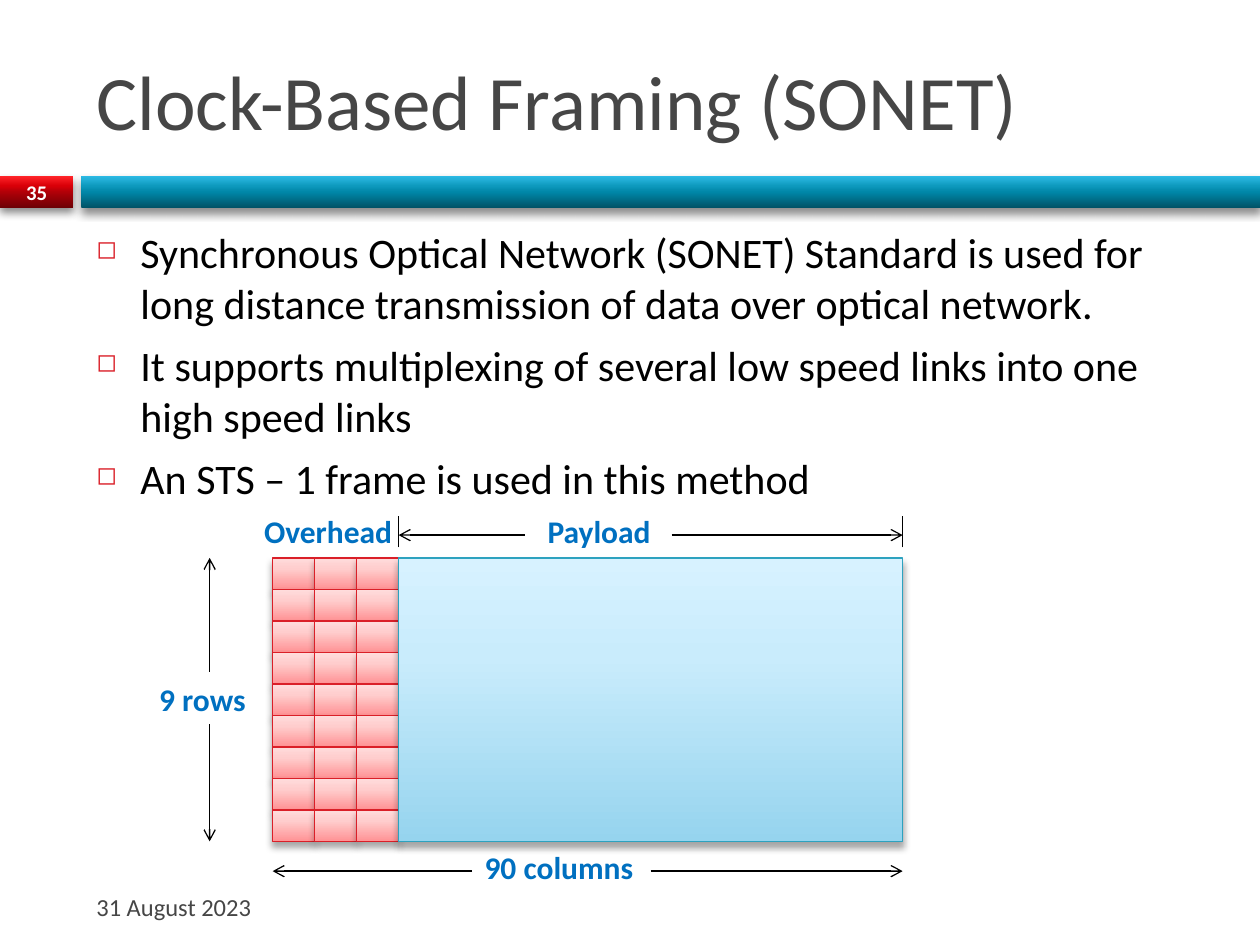
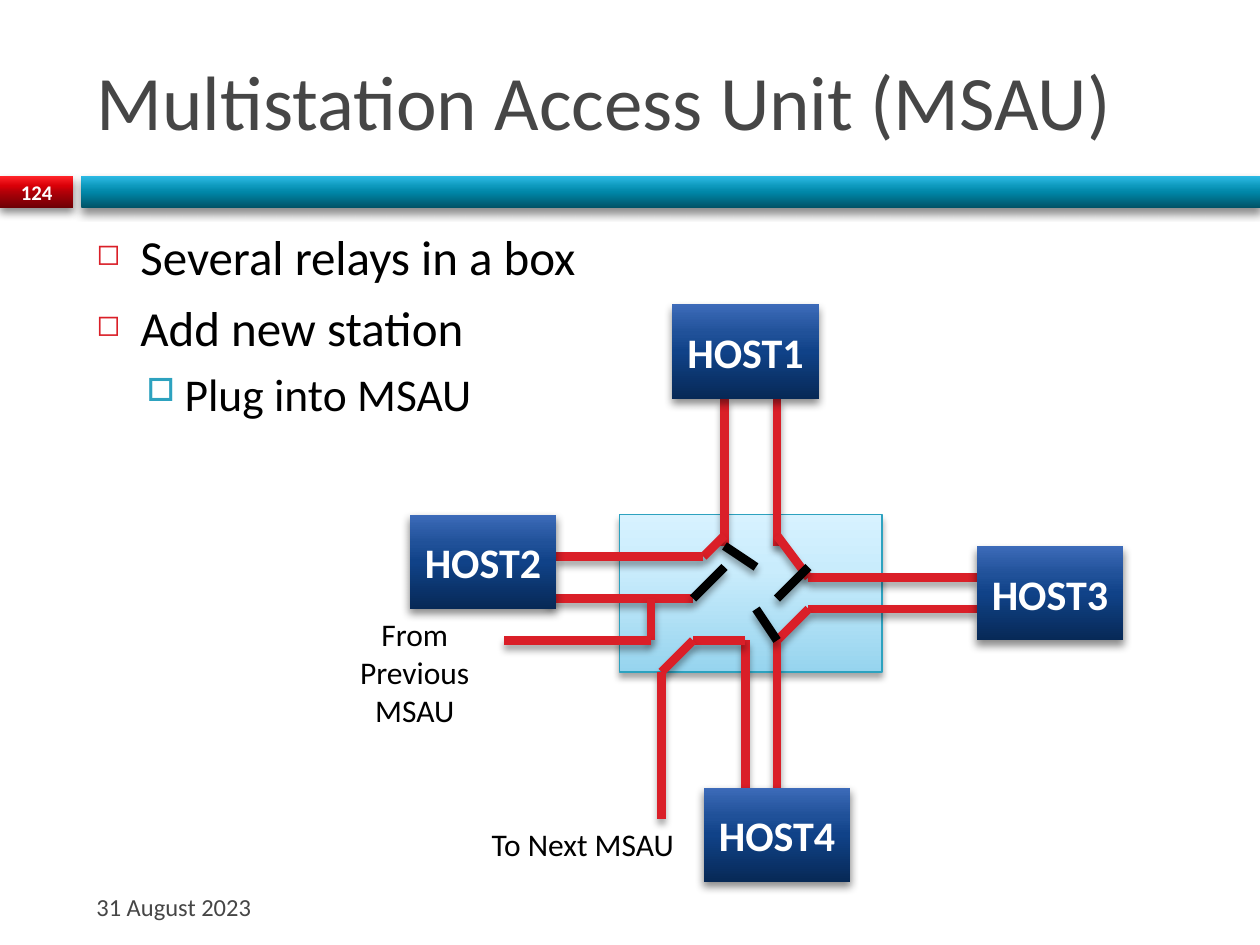
from lxml import etree
from pptx import Presentation
from pptx.dml.color import RGBColor
from pptx.enum.shapes import MSO_CONNECTOR, MSO_SHAPE
from pptx.enum.text import MSO_ANCHOR, PP_ALIGN
from pptx.oxml.ns import qn
from pptx.util import Pt

RECT = MSO_SHAPE.RECTANGLE
STRAIGHT = MSO_CONNECTOR.STRAIGHT
TOP, MIDDLE = MSO_ANCHOR.TOP, MSO_ANCHOR.MIDDLE
LEFT, CENTER = PP_ALIGN.LEFT, PP_ALIGN.CENTER

FONT = "Calibri"
BLACK = RGBColor(0x00, 0x00, 0x00)
WHITE = RGBColor(0xFF, 0xFF, 0xFF)
GREY = RGBColor(0x46, 0x46, 0x46)
RED = RGBColor(0xDA, 0x1F, 0x28)
TEAL = RGBColor(0x2D, 0xA2, 0xBF)
BLUE = RGBColor(0x00, 0x70, 0xC0)


def gradient(positions, *colours):
    return [(pos, RGBColor.from_string(c)) for pos, c in zip(positions, colours)]


STRONG_STOPS = (0, 50, 70, 100)
SOFT_STOPS = (0, 65, 100)
RED_BAND = gradient(STRONG_STOPS, "6D0005", "B00008", "DA0008", "FF2429")
TEAL_BAND = gradient(STRONG_STOPS, "005367", "0086A7", "0E9ABE", "2CB9E3")
NAVY = gradient(STRONG_STOPS, "072956", "104288", "205199", "3D6BB9")
PINK = gradient(SOFT_STOPS, "FF9294", "FFCDCD", "FFDCDC")
SKY = gradient(SOFT_STOPS, "96D4EE", "C9ECFC", "D7F2FF")
STRONG_SHADOW = {"alpha": 45, "blur": 5, "dist": 3}
SOFT_SHADOW = {"alpha": 35, "blur": 4, "dist": 3}

TITLE = {"size": Pt(44), "color": GREY}
DATE = {"size": Pt(14), "color": GREY}
NUMBER = {"size": Pt(11.9), "bold": True, "color": WHITE}
HOST = {"size": Pt(24), "bold": True, "color": WHITE}
LABEL = {"size": Pt(18), "bold": True, "color": BLUE}
NOTE = {"size": Pt(18), "color": BLACK}

BULLETS = [
    {"char": "◻", "color": RED, "scale": 60, "left": 25.2, "hang": 25.2, "before": 7},
    {"char": "□", "color": TEAL, "scale": 70, "left": 50.4, "hang": 21.6, "before": 5.5},
]

BODY_BOX = (48, 126, 642, 354)


def child(parent, tag, **attrs):
    return etree.SubElement(parent, qn(tag), {k: str(v) for k, v in attrs.items()})


def add_colour(parent, rgb):
    return child(parent, "a:srgbClr", val=rgb)


def set_shadow(spPr, shadow):
    effects = child(spPr, "a:effectLst")
    if shadow:
        outer = child(effects, "a:outerShdw", blurRad=Pt(shadow["blur"]),
                      dist=Pt(shadow["dist"]), dir=5400000, algn="ctr", rotWithShape=0)
        child(add_colour(outer, BLACK), "a:alpha", val=shadow["alpha"] * 1000)


def set_gradient(spPr, stops):
    fill = etree.Element(qn("a:gradFill"), rotWithShape="1")
    stop_list = child(fill, "a:gsLst")
    for pos, rgb in stops:
        add_colour(child(stop_list, "a:gs", pos=pos * 1000), rgb)
    child(fill, "a:lin", ang=16200000, scaled=0)
    spPr.find(qn("a:prstGeom")).addnext(fill)


def set_font(font, fmt):
    font.name = FONT
    for key, value in fmt.items():
        if key == "color":
            font.color.rgb = value
        else:
            setattr(font, key, value)


def write(tf, lines, fmt, align=LEFT, anchor=TOP):
    tf.word_wrap = True
    tf.vertical_anchor = anchor
    for i, line in enumerate(lines):
        p = tf.paragraphs[0] if i == 0 else tf.add_paragraph()
        p.alignment = align
        r = p.add_run()
        r.text = line
        set_font(r.font, fmt)


def add_text(s, box, lines, fmt, **layout):
    tf = s.shapes.add_textbox(*map(Pt, box)).text_frame
    write(tf, lines, fmt, **layout)
    return tf


def add_box(s, box, stops, shadow, outline=None):
    sp = s.shapes.add_shape(RECT, *map(Pt, box))
    set_gradient(sp._element.spPr, stops)
    if outline is None:
        sp.line.fill.background()
    else:
        sp.line.color.rgb = outline
        sp.line.width = Pt(0.75)
    set_shadow(sp._element.spPr, shadow)
    return sp


def add_line(s, start, end, colour=BLACK, width=0.75, arrow=False, shadow=None):
    cn = s.shapes.add_connector(STRAIGHT, *map(Pt, (*start, *end)))
    cn.line.color.rgb = colour
    cn.line.width = Pt(width)
    if arrow:
        child(cn.line._get_or_add_ln(), "a:tailEnd", type="arrow")
    set_shadow(cn._element.spPr, shadow)


def add_bullets(s, box, items):
    tf = s.shapes.add_textbox(*map(Pt, box)).text_frame
    tf.word_wrap = True
    for i, (level, size, text) in enumerate(items):
        p = tf.paragraphs[0] if i == 0 else tf.add_paragraph()
        bullet = BULLETS[level]
        pPr = p._p.get_or_add_pPr()
        pPr.set("marL", str(Pt(bullet["left"])))
        pPr.set("indent", str(-Pt(bullet["hang"])))
        add_colour(child(pPr, "a:buClr"), bullet["color"])
        child(pPr, "a:buSzPct", val=bullet["scale"] * 1000)
        child(pPr, "a:buChar", char=bullet["char"])
        p.level = level
        if i:
            p.space_before = Pt(bullet["before"])
        r = p.add_run()
        r.text = text
        set_font(r.font, {"size": Pt(size), "color": BLACK})


def add_base(prs, title, number):
    s = prs.slides.add_slide(prs.slide_layouts[6])
    add_box(s, (0, 100.8, 42, 18), RED_BAND, STRONG_SHADOW)
    add_box(s, (46.5, 100.8, 673.5, 18), TEAL_BAND, STRONG_SHADOW)
    add_text(s, (48, 18, 642, 78), [title], TITLE, anchor=MIDDLE)
    add_text(s, (48, 504, 210, 28.8), ["31 August 2023"], DATE, anchor=MIDDLE)
    add_text(s, (0, 100, 42, 19.5), [number], NUMBER, align=CENTER, anchor=MIDDLE)
    return s


def add_frame_diagram(s, x, y):
    cell_w, cell_h, rows, overhead_cols = 24, 18, 9, 3
    split, width, height = overhead_cols * cell_w, 360, rows * cell_h

    for row in range(rows):
        for col in range(overhead_cols):
            cell = (x + col * cell_w, y + row * cell_h, cell_w, cell_h)
            add_box(s, cell, PINK, SOFT_SHADOW, RED)
    add_box(s, (x + split, y, width - split, height), SKY, SOFT_SHADOW, TEAL)

    labels = [
        ("90 columns", 114, height, 106),
        ("Overhead", -12, -30, 94),
        ("Payload", 150, -30, 80),
        ("9 rows", -72, 66, 70),
    ]
    for text, dx, dy, w in labels:
        add_text(s, (x + dx, y + dy, w, 29), [text], LABEL)

    for tick in (split, width):
        add_line(s, (x + tick, y - 6), (x + tick, y - 24))
    arrows = [
        ((228, -13), (width, -13)),
        ((144, -13), (split, -13)),
        ((216, 179), (width, 179)),
        ((114, 179), (0, 179)),
        ((-36, 65), (-36, 0)),
        ((-36, 95), (-36, height)),
    ]
    for (x1, y1), (x2, y2) in arrows:
        add_line(s, (x + x1, y + y1), (x + x2, y + y2), arrow=True)


def add_msau_diagram(s, x, y):
    step = 6

    def at(col, row):
        return x + col * step, y + row * step

    def area(col, row, cols, rows):
        return (*at(col, row), cols * step, rows * step)

    add_box(s, area(20, 20, 25, 15), SKY, SOFT_SHADOW, TEAL)

    cables = [
        [(30, 9), (30, 23)],
        [(30, 22), (28, 24), (14, 24)],
        [(35, 9), (35, 23)],
        [(35, 22), (38, 26), (54, 26)],
        [(54, 29), (38, 29), (35, 32), (35, 46)],
        [(32, 46), (32, 32), (27, 32), (24, 35), (24, 49)],
        [(27, 28), (13, 28)],
        [(23, 28), (23, 32), (9, 32)],
    ]
    relays = [
        [(30, 23), (33, 25)],
        [(38, 25), (35, 28)],
        [(33, 29), (35, 32)],
        [(30, 25), (27, 28)],
    ]
    for colour, routes in ((RED, cables), (BLACK, relays)):
        for route in routes:
            for start, end in zip(route, route[1:]):
                add_line(s, at(*start), at(*end), colour, 5, shadow=SOFT_SHADOW)

    hosts = [("HOST1", 25, 0), ("HOST2", 0, 20), ("HOST3", 54, 23), ("HOST4", 28, 46)]
    for name, col, row in hosts:
        sp = add_box(s, area(col, row, 14, 9), NAVY, STRONG_SHADOW)
        write(sp.text_frame, [name], HOST, align=CENTER, anchor=MIDDLE)

    tf = add_text(s, area(-9, 29, 19, 8.5), ["From Previous", "MSAU"], NOTE, align=CENTER)
    tf.margin_left = tf.margin_right = Pt(20)
    add_text(s, area(6, 49, 21, 4.8), ["To Next MSAU"], NOTE, align=CENTER)


def sonet_slide(prs):
    s = add_base(prs, "Clock-Based Framing (SONET)", "35")
    add_bullets(s, BODY_BOX, [
        (0, 24, "Synchronous Optical Network (SONET) Standard is used for "
                "long distance transmission of data over optical network."),
        (0, 24, "It supports multiplexing of several low speed links into one high speed links"),
        (0, 24, "An STS – 1 frame is used in this method"),
    ])
    add_frame_diagram(s, 155.8, 318.8)


def msau_slide(prs):
    s = add_base(prs, "Multistation Access Unit (MSAU)", "124")
    add_bullets(s, BODY_BOX, [
        (0, 28, "Several relays in a box"),
        (0, 28, "Add new station"),
        (1, 26, "Plug into MSAU"),
    ])
    add_msau_diagram(s, 234, 174)


def main():
    prs = Presentation()
    prs.slide_width, prs.slide_height = Pt(720), Pt(540)
    sonet_slide(prs)
    msau_slide(prs)
    prs.save("out.pptx")


if __name__ == "__main__":
    main()
